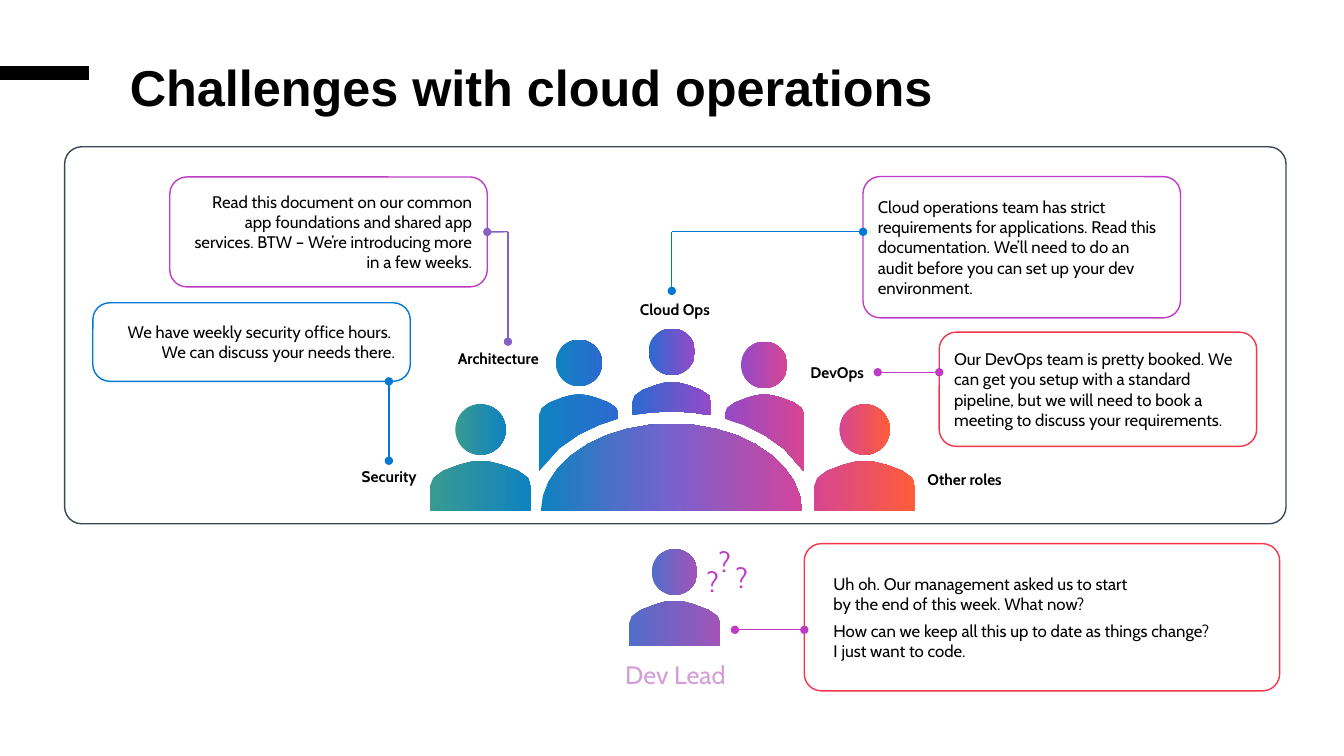
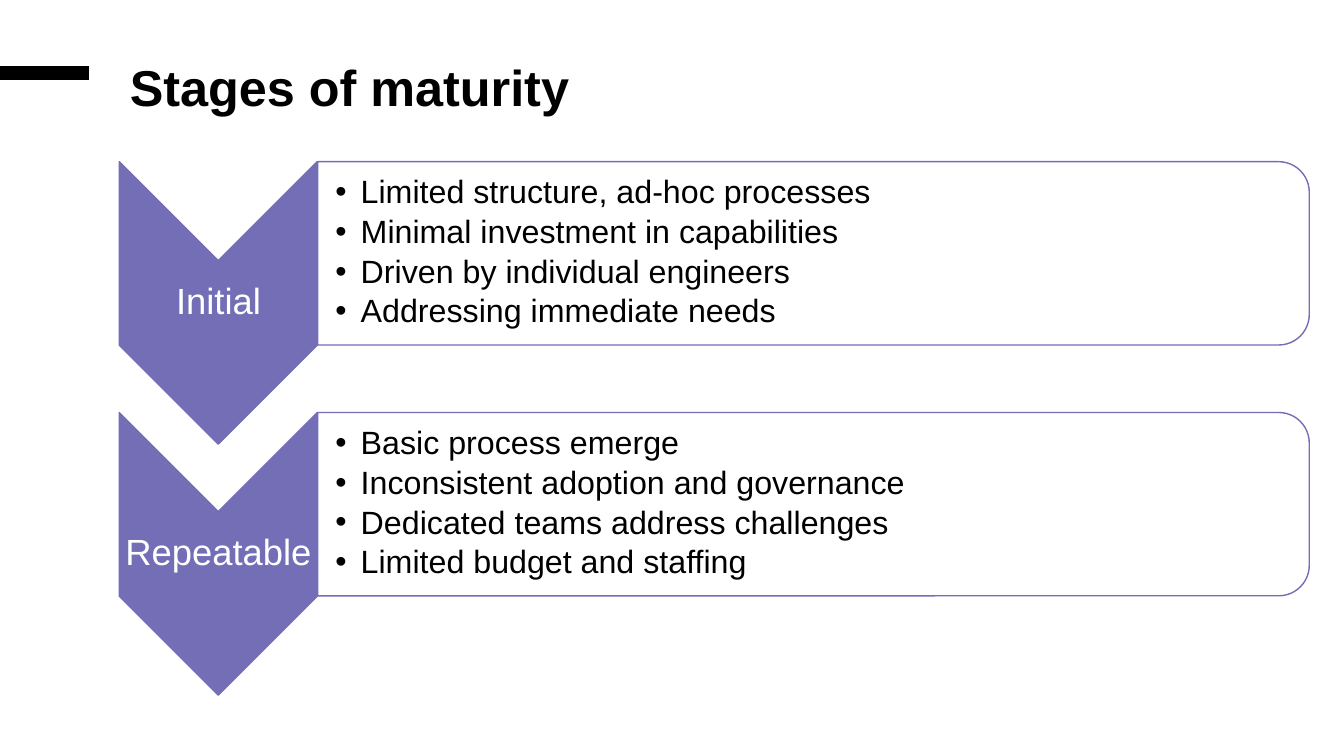
from copy import deepcopy
from math import cos, pi, sin, sqrt

from pptx import Presentation
from pptx.dml.color import RGBColor
from pptx.enum.shapes import MSO_CONNECTOR, MSO_SHAPE
from pptx.enum.text import MSO_ANCHOR, MSO_AUTO_SIZE, PP_ALIGN
from pptx.oxml.ns import qn
from pptx.oxml.xmlchemy import OxmlElement
from pptx.util import Cm, Pt

LEFT, CENTER, RIGHT = PP_ALIGN.LEFT, PP_ALIGN.CENTER, PP_ALIGN.RIGHT
TOP, MIDDLE = MSO_ANCHOR.TOP, MSO_ANCHOR.MIDDLE
FIXED = MSO_AUTO_SIZE.NONE
STRAIGHT = MSO_CONNECTOR.STRAIGHT
ROUND = MSO_SHAPE.ROUNDED_RECTANGLE
OVAL = MSO_SHAPE.OVAL
CHEVRON = MSO_SHAPE.CHEVRON
TAB = MSO_SHAPE.ROUND_2_SAME_RECTANGLE

BLACK = RGBColor(0x00, 0x00, 0x00)
WHITE = RGBColor(0xFF, 0xFF, 0xFF)
SLATE = RGBColor(0x3A, 0x49, 0x53)
BLUE = RGBColor(0x00, 0x78, 0xD4)
VIOLET = RGBColor(0x86, 0x61, 0xC5)
PURPLE = RGBColor(0xC0, 0x3B, 0xC4)
RED = RGBColor(0xF4, 0x36, 0x4C)
LILAC = RGBColor(0xD5, 0x9E, 0xD7)
IRIS = RGBColor(0x73, 0x6E, 0xB6)
GREEN = RGBColor(0x39, 0x9A, 0x92)
OCEAN = RGBColor(0x0F, 0x82, 0xC0)
COBALT = RGBColor(0x2C, 0x6A, 0xD0)
GRAPE = RGBColor(0x95, 0x49, 0xC8)
PINK = RGBColor(0xD6, 0x46, 0x92)
CORAL = RGBColor(0xFF, 0x5C, 0x39)
INDIGO = RGBColor(0x78, 0x61, 0xCE)
ROSE = RGBColor(0xD2, 0x44, 0x9C)
DENIM = RGBColor(0x52, 0x6D, 0xCA)
PLUM = RGBColor(0xA1, 0x54, 0xB8)


def write(frame, text, size=12, color=BLACK, font="Cabin", bold=False, align=LEFT,
          anchor=MIDDLE, inset=(0.25, 0.13, 0.25, 0.13), spacing=None, after=None, bullet=False):
    frame.word_wrap = True
    frame.auto_size = FIXED
    frame.vertical_anchor = anchor
    frame.margin_left, frame.margin_top, frame.margin_right, frame.margin_bottom = map(Cm, inset)
    frame.text = text
    for para in frame.paragraphs:
        if bullet:
            props = para._p.get_or_add_pPr()
            props.set("marL", str(Cm(0.64)))
            props.set("indent", str(-Cm(0.64)))
            mark = OxmlElement("a:buChar")
            mark.set("char", "•")
            props.append(mark)
            para.space_before = Pt(0)
        para.alignment = align
        para.line_spacing = spacing
        if after:
            para.space_after = Pt(after)
        for run in para.runs:
            run.font.name = font
            run.font.size = Pt(size)
            run.font.bold = bold
            run.font.color.rgb = color
        for turn in para._p.findall(qn("a:br")):
            turn.append(deepcopy(para.runs[0].font._rPr))


def link(shapes, x1, y1, x2, y2, color, width=1, ends=()):
    line = shapes.add_connector(STRAIGHT, Cm(x1), Cm(y1), Cm(x2), Cm(y2))
    line.line.color.rgb = color
    line.line.width = Pt(width)
    for end in ends:
        dot = OxmlElement(end)
        dot.set("type", "oval")
        line.line._ln.append(dot)
    line._element.spPr.append(OxmlElement("a:effectLst"))
    return line


deck = Presentation()
deck.slide_width, deck.slide_height = Cm(33.87), Cm(19.05)
head = deck.slide_master.placeholders[0]
head.left, head.top, head.width, head.height = Cm(3.02), Cm(1.52), Cm(29.97), Cm(2.54)

team = deck.slides.add_slide(deck.slide_layouts[5])
stages = deck.slides.add_slide(deck.slide_layouts[3])
for slide, title in ((team, "Challenges with cloud operations"), (stages, "Stages of maturity")):
    write(slide.shapes.title.text_frame, title, size=36, font="Arial", bold=True,
          anchor=TOP, spacing=0.85)
    link(slide.shapes, 0, 1.84, 2.25, 1.84, BLACK, width=9.5)

boxes = {}
for name, x, y, w, h, color, align, text in (
    ("panel", 1.63, 3.7, 30.78, 9.5, SLATE, LEFT, ""),
    ("design", 4.28, 4.46, 8, 2.77, PURPLE, RIGHT,
     "Read this document on our common app foundations and shared app services. "
     "BTW – We’re introducing more in a few weeks."),
    ("guard", 2.34, 7.63, 8, 1.98, BLUE, RIGHT,
     "We have weekly security office hours. \vWe can discuss your needs there."),
    ("cloud", 21.75, 4.45, 8, 3.56, PURPLE, LEFT,
     "Cloud operations team has strict requirements for applications. Read this "
     "documentation. We’ll need to do an audit before you can set up your dev environment."),
    ("devops", 23.67, 8.37, 8, 2.88, RED, LEFT,
     "Our DevOps team is pretty booked. We can get you setup with a standard pipeline, "
     "but we will need to book a meeting to discuss your requirements."),
    ("lead", 20.27, 13.7, 11.98, 3.71, RED, LEFT,
     "Uh oh. Our management asked us to start\nby the end of this week. What now?\n"
     "How can we keep all this up to date as things change?\nI just want to code."),
):
    box = team.shapes.add_shape(ROUND, Cm(x), Cm(y), Cm(w), Cm(h))
    box.shadow.inherit = False
    box.adjustments[0] = 0.43 / h
    box.fill.background()
    box.line.color.rgb = color
    box.line.width = Pt(1)
    if text:
        write(box.text_frame, text, align=align)
    boxes[name] = box
boxes["panel"].fill.solid()
boxes["panel"].fill.fore_color.rgb = WHITE
note = boxes["lead"].text_frame
note.margin_left = Cm(0.61)
note.paragraphs[1].space_after = Pt(5)

MID, FLOOR = 16.92, 12.88
HALF = ((-0.5, 0.25), (-0.47, 0.17), (-0.37, 0.1), (-0.21, 0.04), (-0.1, 0.01))
EDGE = HALF + ((0, 0),) + tuple((-u, v) for u, v in reversed(HALF))
figures = []
for x, top, size, chest, width, back, tints in (
    (12.11, 10.19, 1.27, 11.61, 2.54, False, (GREEN, OCEAN)),
    (14.59, 8.56, 1.17, 9.94, 2, True, (OCEAN, COBALT)),
    (16.93, 8.28, 1.17, 9.63, 2, True, (COBALT, GRAPE)),
    (19.26, 8.61, 1.17, 9.94, 2, True, (GRAPE, PINK)),
    (21.79, 10.19, 1.27, 11.61, 2.54, False, (PINK, CORAL)),
    (17, 13.84, 1.15, 15.14, 2.3, False, (DENIM, PLUM)),
):
    face = team.shapes.add_shape(OVAL, Cm(x - size / 2), Cm(top), Cm(size), Cm(size))
    figures.append((face, tints))
    points = [(x + u * width, chest + v * width) for u, v in EDGE]
    for u in (0.5, 0.25, 0, -0.25, -0.5) if back else (0.5, -0.5):
        across = x + u * width
        base = chest + width / 2
        if back:
            base = FLOOR - 2.51 * sqrt(1 - ((across - MID) / 3.64) ** 2)
        points.append((across, base))
    figures.append((points, tints))
dome = [(MID - 3.29 * cos(pi * i / 18), FLOOR - 2.2 * sin(pi * i / 18)) for i in range(19)]
figures.append((dome, (OCEAN, INDIGO, ROSE)))

for shape, tints in figures:
    if isinstance(shape, list):
        points = [(x * 100, y * 100) for x, y in shape]
        path = team.shapes.build_freeform(*points[0], scale=Cm(0.01))
        path.add_line_segments(points[1:], close=True)
        shape = path.convert_to_shape()
    shape.shadow.inherit = False
    shape.line.fill.background()
    shape.fill.gradient()
    shape.fill.gradient_angle = 0
    last = shape.fill.gradient_stops[1]._gs
    for extra in tints[2:]:
        last.addnext(deepcopy(last))
    for i, (stop, tint) in enumerate(zip(shape.fill.gradient_stops, tints)):
        stop.color.rgb = tint
        stop.position = i / (len(tints) - 1)

ONE, BOTH = ("a:headEnd",), ("a:headEnd", "a:tailEnd")
for x1, y1, x2, y2, color, ends in (
    (9.8, 9.61, 9.8, 11.61, BLUE, BOTH),
    (12.8, 8.61, 12.8, 5.84, VIOLET, ONE),
    (21.75, 5.84, 16.93, 5.84, BLUE, ONE),
    (16.93, 7.33, 16.93, 5.84, BLUE, ONE),
    (23.67, 9.38, 22.12, 9.38, PURPLE, BOTH),
    (20.27, 15.87, 18.52, 15.87, PURPLE, BOTH),
):
    link(team.shapes, x1, y1, x2, y2, color, ends=ends)
arm = link(team.shapes, 12.28, 5.84, 12.8, 5.84, VIOLET, ends=ONE)
arm.begin_connect(boxes["design"], 3)

ROLE = dict(size=11, bold=True, align=CENTER)
QUERY = dict(size=20, color=PURPLE)
for text, x, y, w, h, look in (
    ("Security", 8.49, 11.78, 2.64, 0.48, ROLE),
    ("Architecture", 11.24, 8.81, 2.64, 0.48, ROLE),
    ("Cloud Ops", 15.69, 7.57, 2.64, 0.48, ROLE),
    ("DevOps", 19.78, 9.14, 2.64, 0.48, ROLE),
    ("Other roles", 22.99, 11.84, 2.64, 0.48, ROLE),
    ("Dev Lead", 15.09, 16.61, 3.86, 0.76, dict(size=18, color=LILAC, align=CENTER)),
    ("?", 17.81, 14.22, 0.64, 0.86, QUERY),
    ("?", 18.11, 13.72, 0.64, 0.86, QUERY),
    ("?", 18.54, 14.12, 0.64, 0.86, QUERY),
):
    label = team.shapes.add_textbox(Cm(x), Cm(y), Cm(w), Cm(h))
    write(label.text_frame, text, anchor=TOP, inset=(0, 0, 0, 0), **look)

for i, (stage, text) in enumerate((
    ("Initial", "Limited structure, ad-hoc processes\nMinimal investment in capabilities\n"
     "Driven by individual engineers\nAddressing immediate needs"),
    ("Repeatable", "Basic process emerge\nInconsistent adoption and governance\n"
     "Dedicated teams address challenges\nLimited budget and staffing"),
)):
    drop = 6.32 * i
    arrow = stages.shapes.add_shape(CHEVRON, Cm(1.94), Cm(5.14 + drop), Cm(7.12), Cm(4.99))
    frame = stages.shapes.add_shape(TAB, Cm(18.19), Cm(drop - 6.11), Cm(4.62), Cm(24.99))
    for shape in (arrow, frame):
        shape.shadow.inherit = False
        shape.rotation = 90
        shape.line.color.rgb = IRIS
        shape.line.width = Pt(1)
    arrow.fill.solid()
    arrow.fill.fore_color.rgb = IRIS
    frame.fill.background()
    label = stages.shapes.add_textbox(Cm(3.02), Cm(6.56 + drop), Cm(4.98), Cm(2.13))
    write(label.text_frame, stage, size=26, color=WHITE, font="Arial", align=CENTER,
          inset=(0.05, 0.05, 0.05, 0.05), spacing=0.9)
    body = stages.placeholders[i + 1]
    body.left, body.top, body.width, body.height = Cm(8), Cm(4.29 + drop), Cm(24.77), Cm(4.17)
    write(body.text_frame, text, size=23, font="Arial", inset=(0.45, 0.05, 0.05, 0.05),
          spacing=0.9, after=3.5, bullet=True)

deck.save("out.pptx")
